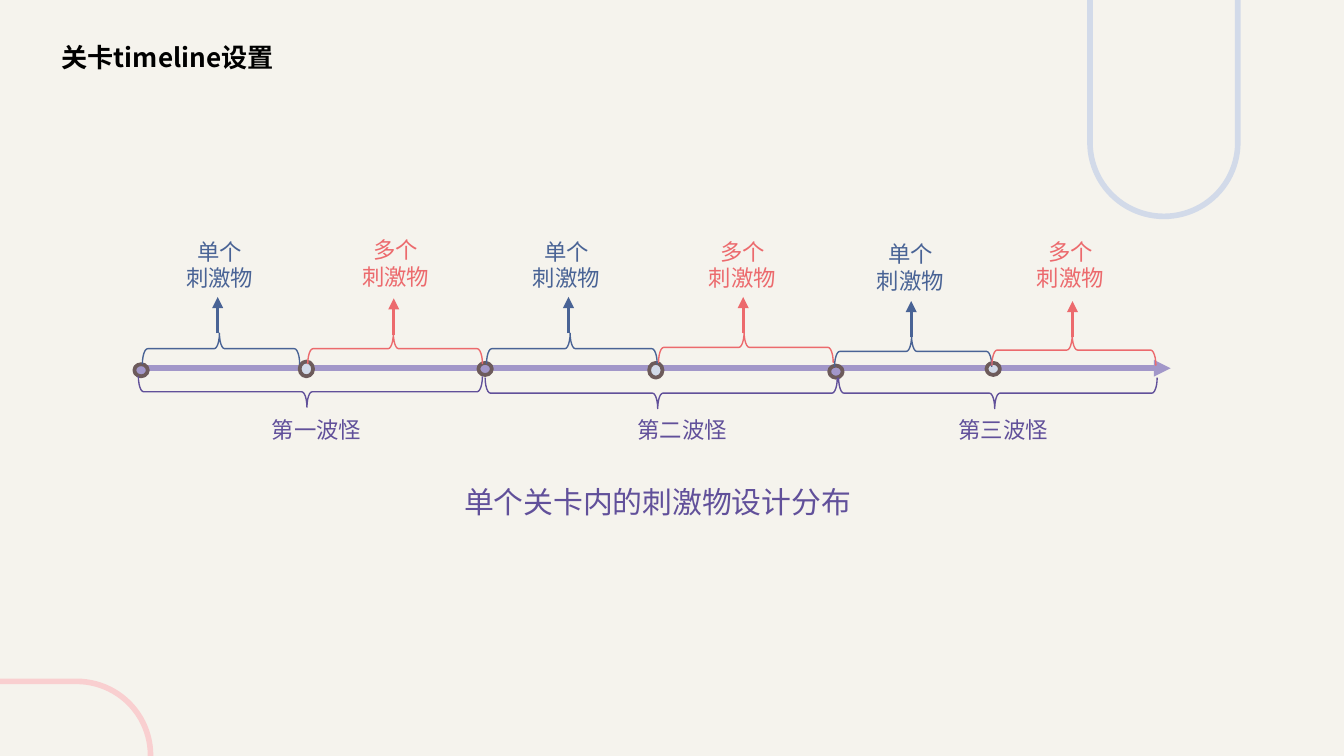
"""Builds the level timeline slide with its waves and stimuli."""
from lxml import etree
from pptx import Presentation
from pptx import util as u
from pptx.dml.color import RGBColor
from pptx.enum import shapes, text
from pptx.oxml import ns

HUES = {"paper": "F5F3ED", "sky": "D2DAE9", "rose": "F9CFD0", "black": "000000",
        "lilac": "A297C9", "brown": "6D5B5B", "blue": "496395",
        "red": "EC6A6D", "violet": "61509A"}
SANS = "Noto Sans CJK SC"
KIND = shapes.MSO_SHAPE
AXIS = 2.74
DEPTH = 0.23


def hue(name):
    return RGBColor.from_string(HUES[name])


def stroke(item, color, width):
    item.line.color.rgb = hue(color)
    item.line.width = u.Pt(width)


def shape(slide, kind, box, line, width, fill=None, turn=0):
    item = slide.shapes.add_shape(kind, *map(u.Inches, box))
    item.shadow.inherit = False
    item.rotation = turn
    if fill:
        item.fill.solid()
        item.fill.fore_color.rgb = hue(fill)
    else:
        item.fill.background()
    stroke(item, line, width)
    return item


def pill(slide, box, color, turn=0):
    shape(slide, KIND.ROUNDED_RECTANGLE, box, color, 3, turn=turn).adjustments[0] = 0.5


def brace(slide, left, top, span, color, up=False):
    box = (left + (span - DEPTH) / 2, top + (DEPTH - span) / 2, DEPTH, span)
    item = shape(slide, KIND.LEFT_BRACE, box, color, 0.75, turn=270)
    item.adjustments[0] = 0.17
    item.adjustments[1] = 0.49
    if up:
        item._element.spPr.xfrm.set("flipH", "1")


def arrow(slide, start, end, color, width):
    item = slide.shapes.add_connector(
        shapes.MSO_CONNECTOR.STRAIGHT, *map(u.Inches, start + end))
    stroke(item, color, width)
    etree.SubElement(item.line._get_or_add_ln(), ns.qn("a:tailEnd"), type="triangle")
    etree.SubElement(item._element.spPr, ns.qn("a:effectLst"))


def write(slide, words, box, color="violet", size=12, font="Arial",
          bold=False, align=text.PP_ALIGN.CENTER):
    frame = slide.shapes.add_textbox(*map(u.Inches, box)).text_frame
    frame.word_wrap = True
    frame.auto_size = text.MSO_AUTO_SIZE.SHAPE_TO_FIT_TEXT
    frame.text = words
    for para in frame.paragraphs:
        para.alignment = align
        for run in para.runs:
            run.font.size = u.Pt(size)
            run.font.name = font
            run.font.bold = bold
            run.font.color.rgb = hue(color)
            etree.SubElement(run._r.get_or_add_rPr(), ns.qn("a:ea"), typeface=SANS)


def wave(slide, words, left, top, span, label):
    brace(slide, left, top, span, "violet")
    write(slide, words, (label, 3.05, 2.47, 0.3))


def cue(slide, words, color, brace_at, stem, label):
    x, y = stem
    arrow(slide, (x, y), (x, y - 0.27), color, 1.5)
    brace(slide, *brace_at, color, up=True)
    write(slide, words + "\n刺激物", label + (1.09, 0.5), color)


def main():
    deck = Presentation()
    deck.slide_width = u.Inches(10)
    deck.slide_height = deck.slide_width * 9 // 16
    slide = deck.slides.add_slide(deck.slide_layouts[6])
    slide.background.fill.solid()
    slide.background.fill.fore_color.rgb = hue("paper")

    pill(slide, (7.37, -0.23, 2.58, 1.1), "sky", turn=90)
    pill(slide, (-1.46, 5.07, 2.58, 1.1), "rose")
    write(slide, "关卡timeline设置", (0.36, 0.26, 3.87, 0.34), "black", 14, SANS,
          bold=True, align=text.PP_ALIGN.LEFT)

    arrow(slide, (1, AXIS), (8.71, AXIS), "lilac", 3)
    for left, top in ((1, 2.71), (3.56, 2.7), (6.17, 2.72)):
        shape(slide, KIND.OVAL, (left, top, 0.1, 0.09), "brown", 2, "lilac")
    for left, top, tall in ((2.23, 2.69, 0.11), (4.83, 2.7, 0.11), (7.34, 2.7, 0.09)):
        shape(slide, KIND.OVAL, (left, top, 0.1, tall), "brown", 2, "sky")

    for row in (("第一波怪", 1.03, 2.8, 2.56, 1.12),
                ("第二波怪", 3.61, 2.81, 2.62, 3.84),
                ("第三波怪", 6.24, 2.81, 2.37, 6.23)):
        wave(slide, *row)

    one, many = ("单个", "blue"), ("多个", "red")
    for kind, *spots in (
            (one, (1.06, 2.48, 1.17), (1.62, 2.48), (1.09, 1.72)),
            (many, (2.29, 2.48, 1.3), (2.93, 2.49), (2.4, 1.71)),
            (one, (3.62, 2.48, 1.27), (4.23, 2.48), (3.67, 1.72)),
            (many, (4.9, 2.47, 1.3), (5.53, 2.48), (4.98, 1.72)),
            (one, (6.21, 2.5, 1.17), (6.78, 2.51), (6.23, 1.74)),
            (many, (7.38, 2.49, 1.22), (7.98, 2.51), (7.42, 1.72))):
        cue(slide, *kind, *spots)

    write(slide, "单个关卡内的刺激物设计分布", (2.23, 3.55, 5.33, 0.37), size=16, font=SANS)
    deck.save("out.pptx")


if __name__ == "__main__":
    main()
